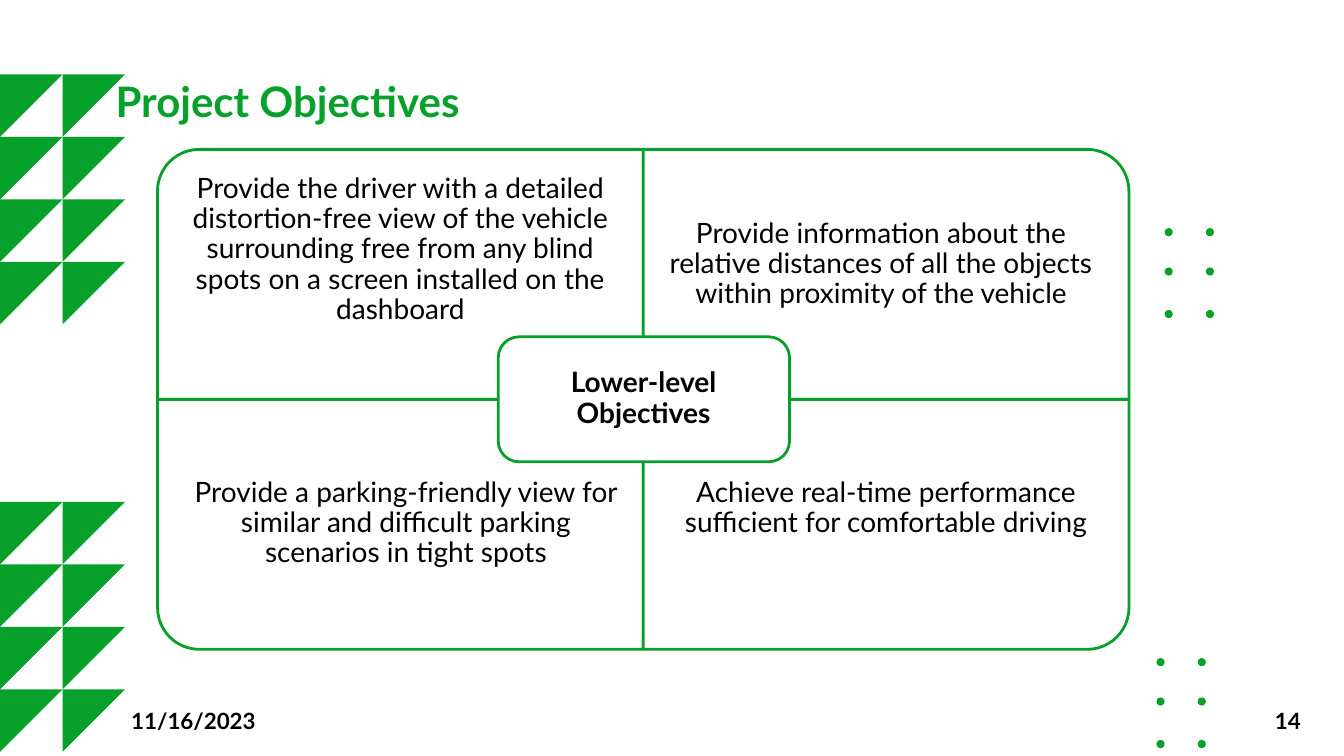
from dataclasses import dataclass
from itertools import product

from pptx import Presentation
from pptx.dml.color import RGBColor
from pptx.enum.shapes import MSO_SHAPE
from pptx.enum.text import MSO_ANCHOR, PP_ALIGN
from pptx.util import Inches, Pt

TRIANGLE = MSO_SHAPE.RIGHT_TRIANGLE
DOT = MSO_SHAPE.OVAL
QUADRANT = MSO_SHAPE.ROUND_1_RECTANGLE
HUB = MSO_SHAPE.ROUNDED_RECTANGLE
TOP, MIDDLE = MSO_ANCHOR.TOP, MSO_ANCHOR.MIDDLE
LEFT, CENTER, RIGHT = PP_ALIGN.LEFT, PP_ALIGN.CENTER, PP_ALIGN.RIGHT

COLORS = {"green": "06A02B", "white": "FFFFFF", "black": "000000"}
FONT = "Lato"
TILE = 0.62  # inches per grid column and row


@dataclass(frozen=True)
class Area:
    """A rectangle in grid columns and rows."""
    col: float
    row: float
    cols: float
    rows: float


@dataclass(frozen=True)
class Label:
    text: str
    area: Area
    size: int = 20
    bold: bool = False
    color: str = "black"
    align: PP_ALIGN = CENTER
    anchor: MSO_ANCHOR = TOP
    inset: tuple[float, float] = (0.26, 0.26)
    spacing: float = 0.9
    after: int = 7


@dataclass(frozen=True)
class Objective:
    col: int
    row: int
    rotation: int
    label: Label


def grid(count: float) -> int:
    return Inches(count * TILE)


def place(area: Area) -> tuple[int, int, int, int]:
    return grid(area.col), grid(area.row), grid(area.cols), grid(area.rows)


def rgb(name: str) -> RGBColor:
    return RGBColor.from_string(COLORS[name])


def add_figure(page, kind: MSO_SHAPE, area: Area, fill: str,
               outlined: bool = False, rotation: int = 0) -> None:
    figure = page.shapes.add_shape(kind, *place(area))
    figure.shadow.inherit = False
    figure.rotation = rotation
    figure.fill.solid()
    figure.fill.fore_color.rgb = rgb(fill)
    if outlined:
        figure.line.color.rgb = rgb("green")
        figure.line.width = Pt(2)
    else:
        figure.line.fill.background()


def add_label(page, label: Label) -> None:
    box = page.shapes.add_textbox(*place(label.area))
    frame = box.text_frame
    frame.word_wrap = True
    frame.vertical_anchor = label.anchor
    frame.margin_left = frame.margin_right = grid(label.inset[0])
    frame.margin_top = frame.margin_bottom = grid(label.inset[1])
    para = frame.paragraphs[0]
    para.alignment = label.align
    para.line_spacing = label.spacing
    para.space_after = Pt(label.after)
    span = para.add_run()
    span.text = label.text
    span.font.name = FONT
    span.font.size = Pt(label.size)
    span.font.bold = label.bold
    span.font.color.rgb = rgb(label.color)


def add_quadrant(page, objective: Objective) -> None:
    cols, rows = QUADRANT_SIZE
    left = QUADRANT_START[0] + objective.col * cols
    top = QUADRANT_START[1] + objective.row * rows
    if objective.rotation % 180:  # a quarter turn swaps the sides about the centre
        shift = (cols - rows) / 2
        area = Area(left + shift, top - shift, rows, cols)
    else:
        area = Area(left, top, cols, rows)
    add_figure(page, QUADRANT, area, "white", True, objective.rotation)
    add_label(page, objective.label)


TRIANGLE_ROWS = (1.19, 8.03)
DOT_STARTS = ((18.63, 3.65), (18.5, 10.53))
DOT_COLS, DOT_ROWS, DOT_SIZE = (0, 0.66), (0, 0.63, 1.31), 0.13
QUADRANT_START, QUADRANT_SIZE = (2.52, 2.39), (7.77, 4)

OBJECTIVES = (
    Objective(0, 0, 270, Label(
        "Provide the driver with a detailed distortion-free view of the vehicle "
        "surrounding free from any blind spots on a screen installed on the dashboard",
        Area(2.52, 2.53, 7.77, 2.85))),
    Objective(1, 0, 0, Label(
        "Provide information about the relative distances of all the objects "
        "within proximity of the vehicle",
        Area(10.28, 2.73, 7.63, 3), anchor=MIDDLE)),
    Objective(0, 1, 180, Label(
        "Provide a parking-friendly view for similar and difficult parking "
        "scenarios in tight spots",
        Area(2.68, 7.39, 7.63, 3))),
    Objective(1, 1, 90, Label(
        "Achieve real-time performance sufficient for comfortable driving",
        Area(10.29, 7.39, 7.77, 2.85))),
)
HUB_AREA = Area(7.97, 5.39, 4.66, 2)
HUB_LABEL = Label("Lower-level Objectives", Area(8.06, 5.48, 4.47, 1.81),
                  bold=True, anchor=MIDDLE, inset=(0.13, 0.13))
TITLE = Label("Project Objectives", Area(1.69, 1.05, 18.11, 1.35), 30, True,
              "green", LEFT, TOP, (0.16, 0.16), 1.0, 0)
FOOTERS = tuple(
    Label(text, Area(col, 11.21, 4.84, 0.65), 16, True, "black", align,
          MIDDLE, (0.16, 0.08), 1.0, 0)
    for text, col, align in (("11/16/2023", 1.94, LEFT), ("14", 16.13, RIGHT))
)


def main() -> None:
    deck = Presentation()
    deck.slide_width, deck.slide_height = Inches(13.33), Inches(7.5)
    page = deck.slides.add_slide(deck.slide_layouts[6])

    # Triangle bands along the left edge
    for start, row, col in product(TRIANGLE_ROWS, range(4), range(2)):
        add_figure(page, TRIANGLE, Area(col, start + row, 1, 1), "green", rotation=90)

    # Dot clusters on the right
    for (left, top), row, col in product(DOT_STARTS, DOT_ROWS, DOT_COLS):
        add_figure(page, DOT, Area(left + col, top + row, DOT_SIZE, DOT_SIZE), "green")

    # Title and footer
    for label in (TITLE, *FOOTERS):
        add_label(page, label)

    # Four objectives around the hub
    for objective in OBJECTIVES:
        add_quadrant(page, objective)
    add_figure(page, HUB, HUB_AREA, "white", True)
    add_label(page, HUB_LABEL)

    deck.save("out.pptx")


if __name__ == "__main__":
    main()
